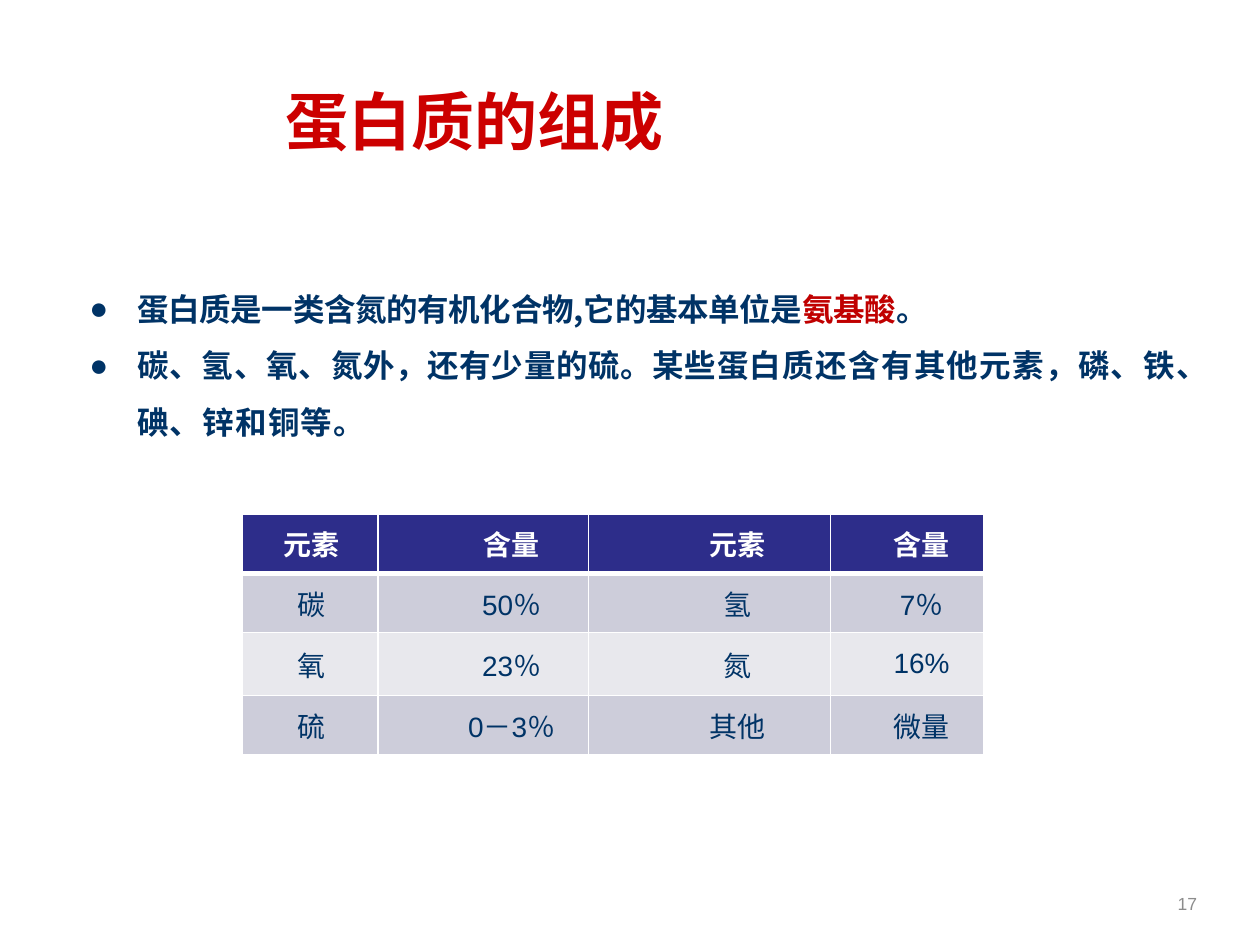
from dataclasses import dataclass

from lxml.etree import SubElement
from pptx import Presentation
from pptx.dml.color import RGBColor
from pptx.enum.text import MSO_ANCHOR, PP_ALIGN
from pptx.oxml.ns import qn
from pptx.util import Inches, Pt

SLIDE_W, SLIDE_H = Inches(10), Inches(7.5)
COLORS = {
    "title": "CC0000", "accent": "C00000", "navy": "003366", "number": "8C8C8C",
    "header": "2D2D8A", "band": "CDCDDA", "light": "E8E8ED", "white": "FFFFFF",
}
LATIN, CJK = "Arial", "Noto Sans CJK SC"


@dataclass(frozen=True)
class Area:
    """A place on the slide, as shares of its width and height."""
    left: float
    top: float
    width: float
    height: float

    def emu(self) -> tuple[int, int, int, int]:
        return (int(self.left * SLIDE_W), int(self.top * SLIDE_H),
                int(self.width * SLIDE_W), int(self.height * SLIDE_H))


@dataclass(frozen=True)
class Style:
    size: float
    color: str
    bold: bool = False
    font: str = LATIN


@dataclass(frozen=True)
class Phrase:
    words: str
    spacing: float
    color: str = "navy"


@dataclass(frozen=True)
class Column:
    width: float
    indent: float


TITLE_STYLE = Style(36, "title", True)
NUMBER_STYLE = Style(10, "number")
HEADER_STYLE = Style(16, "white", True)
CELL_STYLE = Style(16, "navy")

POINTS = [
    [Phrase("蛋白质是一类含氮的有机化合物,它的基本单位是", -0.2),
     Phrase("氨基酸", -0.2, "accent"),
     Phrase("。", -0.2)],
    [Phrase("碳、氢、氧、氮", 0.4),
     Phrase("外，还有少量的硫。某些", 0.3),
     Phrase("蛋白质还含有其他元素，磷、铁、碘、锌和铜等。", 0.7)],
]
COLUMNS = [Column(1.08, 0.03), Column(1.67, 0.45), Column(1.92, 0.45), Column(1.22, 0.23)]
ROW_HEIGHTS = [0.47, 0.47, 0.5, 0.47]
CONTENTS = [
    ["元素", "含量", "元素", "含量"],
    ["碳", "50％", "氢", "7％"],
    ["氧", "23％", "氮", "16%"],
    ["硫", "0－3％", "其他", "微量"],
]


def rgb(name: str) -> RGBColor:
    return RGBColor.from_string(COLORS[name])


def style_run(run, style: Style) -> None:
    run.font.size = Pt(style.size)
    run.font.bold = style.bold
    run.font.name = style.font
    run.font.color.rgb = rgb(style.color)
    if style.font == CJK:
        SubElement(run.font._element, qn("a:ea"), typeface=CJK)


def add_frame(slide, area: Area, inset: float = 0):
    frame = slide.shapes.add_textbox(*area.emu()).text_frame
    frame.word_wrap = True
    frame.margin_left = frame.margin_right = Inches(inset)
    frame.margin_top = frame.margin_bottom = Inches(inset / 2)
    return frame


def add_line(slide, area: Area, words: str, style: Style, align, inset: float = 0) -> None:
    frame = add_frame(slide, area, inset)
    frame.vertical_anchor = MSO_ANCHOR.MIDDLE
    frame.text = words
    frame.paragraphs[0].alignment = align
    style_run(frame.paragraphs[0].runs[0], style)


def add_points(slide, area: Area) -> None:
    frame = add_frame(slide, area)
    for index, phrases in enumerate(POINTS):
        paragraph = frame.add_paragraph() if index else frame.paragraphs[0]
        paragraph.alignment = PP_ALIGN.JUSTIFY
        paragraph.line_spacing = Pt(32.3)
        properties = paragraph._p.get_or_add_pPr()
        properties.set("marL", str(Inches(0.76)))
        properties.set("indent", str(Inches(-0.38)))
        SubElement(properties, qn("a:buFont"), typeface=LATIN)
        SubElement(properties, qn("a:buChar"), char="●")
        for phrase in phrases:
            run = paragraph.add_run()
            run.text = phrase.words
            style_run(run, Style(18, phrase.color, True, CJK))
            run.font._element.set("spc", str(round(phrase.spacing * 100)))


def set_borders(cell, bottom: float, top: float) -> None:
    properties = cell._tc.get_or_add_tcPr()
    widths = {"a:lnL": 1, "a:lnR": 1, "a:lnT": top, "a:lnB": bottom}
    for position, (side, width) in enumerate(widths.items()):
        line = SubElement(properties, qn(side), w=str(Pt(width)))
        fill = SubElement(line, qn("a:solidFill"))
        SubElement(fill, qn("a:srgbClr"), val=COLORS["white"])
        properties.insert(position, line)


def fill_cell(cell, words: str, row: int, indent: float) -> None:
    cell.fill.solid()
    cell.fill.fore_color.rgb = rgb("header" if row == 0 else "band" if row % 2 else "light")
    set_borders(cell, bottom=3 if row == 0 else 1, top=3 if row == 1 else 1)
    cell.margin_left = cell.margin_right = cell.margin_top = cell.margin_bottom = 0
    cell.vertical_anchor = MSO_ANCHOR.MIDDLE
    cell.text = words
    paragraph = cell.text_frame.paragraphs[0]
    paragraph.alignment = PP_ALIGN.CENTER
    paragraph._p.get_or_add_pPr().set("marL", str(Inches(indent)))
    style_run(paragraph.runs[0], CELL_STYLE if row else HEADER_STYLE)


def add_elements_table(slide, area: Area) -> None:
    table = slide.shapes.add_table(len(CONTENTS), len(COLUMNS), *area.emu()).table
    for grid_column, column in zip(table.columns, COLUMNS):
        grid_column.width = Inches(column.width)
    for row, (height, contents) in enumerate(zip(ROW_HEIGHTS, CONTENTS)):
        table.rows[row].height = Inches(height)
        for index, words in enumerate(contents):
            fill_cell(table.cell(row, index), words, row, COLUMNS[index].indent)


def main() -> None:
    deck = Presentation()
    deck.slide_width, deck.slide_height = SLIDE_W, SLIDE_H
    slide = deck.slides.add_slide(deck.slide_layouts[6])
    add_points(slide, Area(0.033, 0.287, 0.927, 0.19))
    add_elements_table(slide, Area(0.192, 0.544, 0.588, 0.256))
    add_line(slide, Area(0.217, 0.044, 0.749, 0.167), "蛋白质的组成",
             TITLE_STYLE, PP_ALIGN.LEFT, inset=0.1)
    add_line(slide, Area(0.72, 0.931, 0.23, 0.051), "17", NUMBER_STYLE, PP_ALIGN.RIGHT)
    deck.save("out.pptx")


if __name__ == "__main__":
    main()
